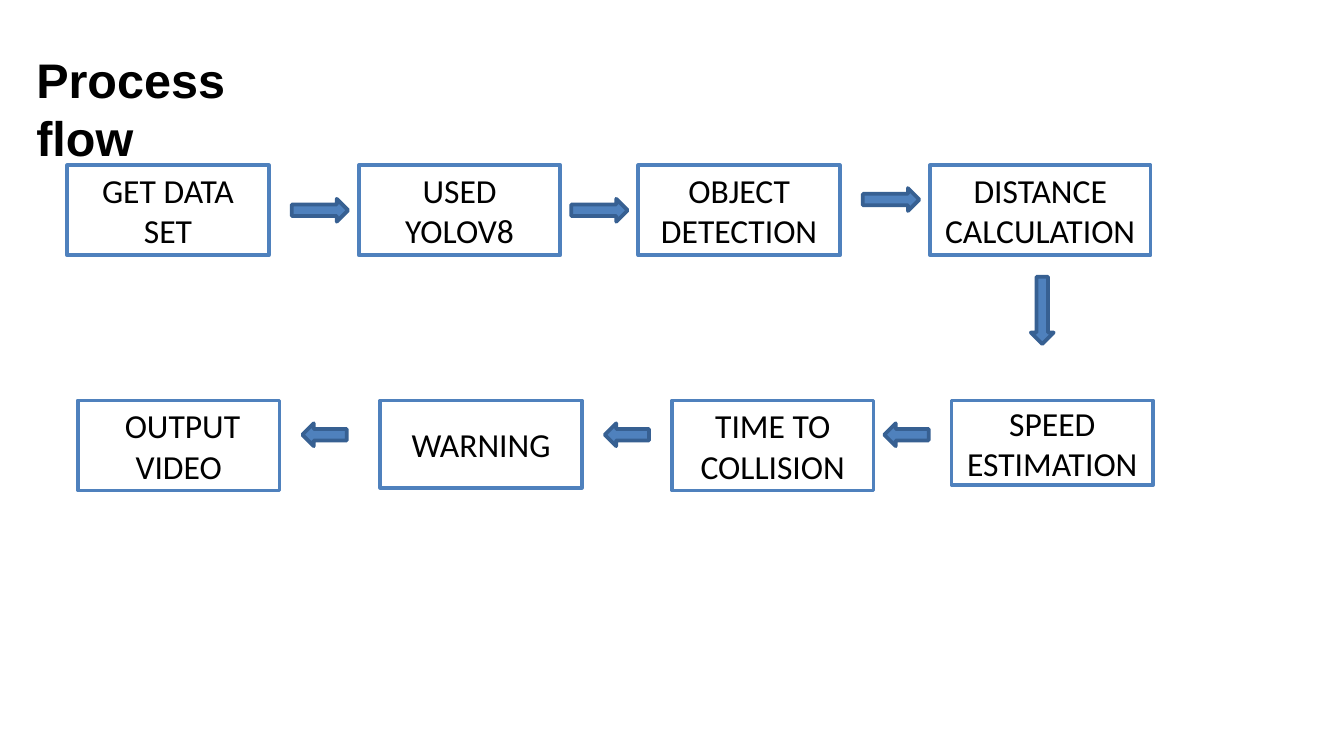
from pptx import Presentation
from pptx.dml.color import RGBColor
from pptx.enum.shapes import MSO_SHAPE
from pptx.enum.text import MSO_ANCHOR, PP_ALIGN
from pptx.util import Inches, Pt

RECT = MSO_SHAPE.RECTANGLE
RIGHT, LEFT, DOWN = (MSO_SHAPE.RIGHT_ARROW, MSO_SHAPE.LEFT_ARROW,
                     MSO_SHAPE.DOWN_ARROW)
MIDDLE, CENTER = MSO_ANCHOR.MIDDLE, PP_ALIGN.CENTER
BLACK, BLUE, NAVY = "000000", "4F81BD", "376092"
TOP, LOW = 1.23, 2.98  # tops of the two rows

# label, left, top, width, height
STEPS = [
    ("GET DATA SET", 0.5, TOP, 1.5, 0.67),
    ("USED YOLOV8", 2.67, TOP, 1.5, 0.67),
    ("OBJECT DETECTION", 4.75, TOP, 1.5, 0.67),
    ("DISTANCE CALCULATION", 6.92, TOP, 1.64, 0.67),
    ("SPEED ESTIMATION", 7.08, LOW, 1.5, 0.63),
    ("TIME TO COLLISION", 5, LOW, 1.5, 0.67),
    ("WARNING", 2.83, LOW, 1.5, 0.65),
    (" OUTPUT VIDEO", 0.58, LOW, 1.5, 0.67),
]

# kind, left, top, width, height
ARROWS = [
    (RIGHT, 2.17, 1.48, 0.42, 0.17),
    (RIGHT, 4.25, 1.48, 0.42, 0.17),
    (RIGHT, 6.42, 1.4, 0.42, 0.17),
    (DOWN, 7.67, 2.06, 0.17, 0.5),
    (LEFT, 6.58, 3.15, 0.33, 0.17),
    (LEFT, 4.5, 3.15, 0.33, 0.17),
    (LEFT, 2.25, 3.15, 0.33, 0.17),
]


def color(code):
    return RGBColor.from_string(code)


def style(para, font, size, bold=False):
    for run in para.runs:
        run.font.name = font
        run.font.size = Pt(size)
        run.font.bold = bold
        run.font.color.rgb = color(BLACK)


def add_shape(slide, kind, area, line, fill=None):
    shape = slide.shapes.add_shape(kind, *map(Inches, area))
    shape.shadow.inherit = False
    if fill:
        shape.fill.solid()
        shape.fill.fore_color.rgb = color(fill)
    else:
        shape.fill.background()
    shape.line.color.rgb = color(line)
    shape.line.width = Pt(2)
    return shape


def add_step(slide, label, *area):
    frame = add_shape(slide, RECT, area, BLUE).text_frame
    frame.text = label
    frame.word_wrap = True
    frame.vertical_anchor = MIDDLE
    para = frame.paragraphs[0]
    para.alignment = CENTER
    style(para, "Calibri", 18)


def add_title(slide, text, *area):
    frame = slide.shapes.add_textbox(*map(Inches, area)).text_frame
    frame.text = text
    frame.word_wrap = True
    frame.margin_left = frame.margin_top = Inches(0.02)
    frame.margin_right = frame.margin_bottom = 0
    para = frame.paragraphs[0]
    para.space_before = Pt(1)
    style(para, "Arial", 26, bold=True)


def main():
    deck = Presentation()
    deck.slide_width = Inches(10)
    deck.slide_height = deck.slide_width * 9 // 16
    slide = deck.slides.add_slide(deck.slide_layouts[6])

    # Heading
    add_title(slide, "Process flow", 0.25, 0.35, 2.21, 0.46)

    # Steps
    for step in STEPS:
        add_step(slide, *step)

    # Arrows between the steps
    for kind, *area in ARROWS:
        add_shape(slide, kind, area, NAVY, BLUE)

    deck.save("out.pptx")


if __name__ == "__main__":
    main()
